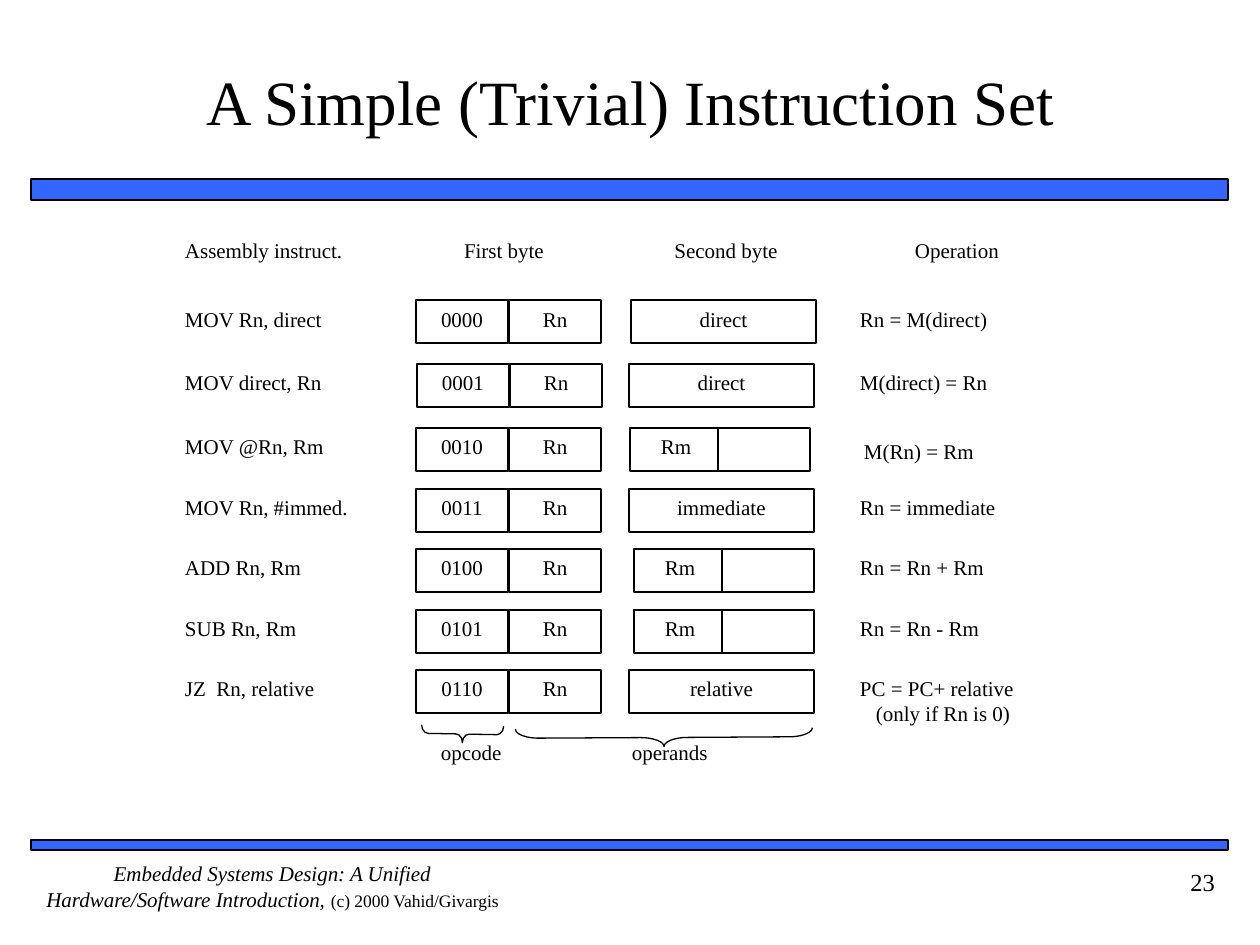
from pptx import Presentation
from pptx.dml.color import RGBColor
from pptx.enum.shapes import MSO_SHAPE
from pptx.enum.text import MSO_ANCHOR, PP_ALIGN
from pptx.util import Emu, Pt

PX = 914400 // 126
FONT = "Times New Roman"
BLACK, WHITE, BLUE = "000000", "FFFFFF", "3366FF"
LEFT, CENTER, RIGHT = PP_ALIGN.LEFT, PP_ALIGN.CENTER, PP_ALIGN.RIGHT

TITLE = "A Simple (Trivial) Instruction Set"
FOOTER = [("Embedded Systems Design: A Unified Hardware/Software Introduction, ", 12, True),
          ("(c) 2000 Vahid/Givargis", 10, False)]
HEADERS = [("Assembly instruct.", 185, LEFT), ("First byte", 407, CENTER),
           ("Second byte", 629, CENTER), ("Operation", 860, CENTER)]

# top, instruction, opcode, first byte x, second byte, second byte x, operation
ROWS = [
    (300, "MOV Rn, direct", "0000", 416, "direct", 631, "Rn = M(direct)"),
    (364, "MOV direct, Rn", "0001", 417, "direct", 629, "M(direct) = Rn"),
    (428, "MOV @Rn, Rm", "0010", 416, "Rm", 630, "M(Rn) = Rm"),
    (489, "MOV Rn, #immed.", "0011", 416, "immediate", 629, "Rn = immediate"),
    (549, "ADD Rn, Rm", "0100", 416, "Rm", 634, "Rn = Rn + Rm"),
    (610, "SUB Rn, Rm", "0101", 416, "Rm", 634, "Rn = Rn - Rm"),
    (670, "JZ  Rn, relative", "0110", 416, "relative", 629, "PC = PC+ relative"),
]
NOTE = "(only if Rn is 0)"
# Operation cells placed off the column: instruction -> (x, y)
SHIFTED = {"MOV @Rn, Rm": (864, 433)}
# label, x, then brace box, rotation and corner size
BRACES = [("opcode", 441, (454, 693, 17, 82), 271.1, 0.39),
          ("operands", 632, (655, 589, 18, 297), 269.7, 1.31)]

LABEL_W, CELL_H, HALF_W, FULL_W = 194, 43, 92, 185

prs = Presentation()
prs.slide_width, prs.slide_height = Emu(1260 * PX), Emu(945 * PX)
s = prs.slides.add_slide(prs.slide_layouts[6])


def rgb(value):
    return RGBColor.from_string(value)


def emu(*lengths):
    return [Emu(n * PX) for n in lengths]


def write(sp, text, size=12, align=LEFT, anchor=MSO_ANCHOR.TOP, insets=(0, 6, 0, 6)):
    """Fill a shape with one paragraph: a string or (text, size, italic) runs."""
    tf = sp.text_frame
    tf.word_wrap = True
    tf.vertical_anchor = anchor
    tf.margin_left, tf.margin_top, tf.margin_right, tf.margin_bottom = emu(*insets)
    p = tf.paragraphs[0]
    p.alignment = align
    for part, pt, italic in [(text, size, False)] if isinstance(text, str) else text:
        r = p.add_run()
        r.text = part
        r.font.name, r.font.size, r.font.italic = FONT, Pt(pt), italic
        r.font.color.rgb = rgb(BLACK)


def label(text, x, y, w=LABEL_W, h=CELL_H, **fmt):
    write(s.shapes.add_textbox(*emu(x, y, w, h)), text, **fmt)


def box(x, y, w, h, fill=WHITE, line=0.75, text=""):
    sp = s.shapes.add_shape(MSO_SHAPE.RECTANGLE, *emu(x, y, w, h))
    sp.shadow.inherit = False
    sp.fill.solid()
    sp.fill.fore_color.rgb = rgb(fill)
    sp.line.color.rgb = rgb(BLACK)
    sp.line.width = Pt(line)
    if text:
        write(sp, text, align=CENTER, insets=(0, 6, 0, 0))


# Title, rules and footer
box(31, 179, 1197, 21, fill=BLUE, line=1)
box(31, 840, 1197, 10, fill=BLUE, line=1)
label(TITLE, 53, 21, 1155, 158, size=36, align=CENTER, anchor=MSO_ANCHOR.MIDDLE)
label(FOOTER, 31, 861, 483, 63, align=CENTER, insets=(0, 0, 0, 0))
label("23", 1102, 861, 126, 63, size=14, align=RIGHT, insets=(13, 6, 13, 6))

# Column headings
for text, x, align in HEADERS:
    label(text, x, 231, align=align)

# Instruction rows
for y, instruction, opcode, x1, second, x2, operation in ROWS:
    label(instruction, 185, y)
    box(x1, y, HALF_W, CELL_H, text=opcode)
    box(x1 + HALF_W + 1, y, HALF_W, CELL_H, text="Rn")
    if second == "Rm":
        box(x2, y, HALF_W, CELL_H, text=second)
        box(x2 + 88, y, HALF_W, CELL_H)
    else:
        box(x2, y, FULL_W, CELL_H, text=second)
    label(operation, *SHIFTED.get(instruction, (860, y)))
label(NOTE, 876, ROWS[-1][0] + 25)

# Braces under the two bytes
for text, x, frame, rotation, corner in BRACES:
    label(text, x, 734, 100, 45)
    sp = s.shapes.add_shape(MSO_SHAPE.LEFT_BRACE, *emu(*frame))
    sp.shadow.inherit = False
    sp.rotation = rotation
    sp.adjustments[0] = corner
    sp.fill.background()
    sp.line.color.rgb = rgb(BLACK)
    sp.line.width = Pt(0.75)

prs.save("out.pptx")
